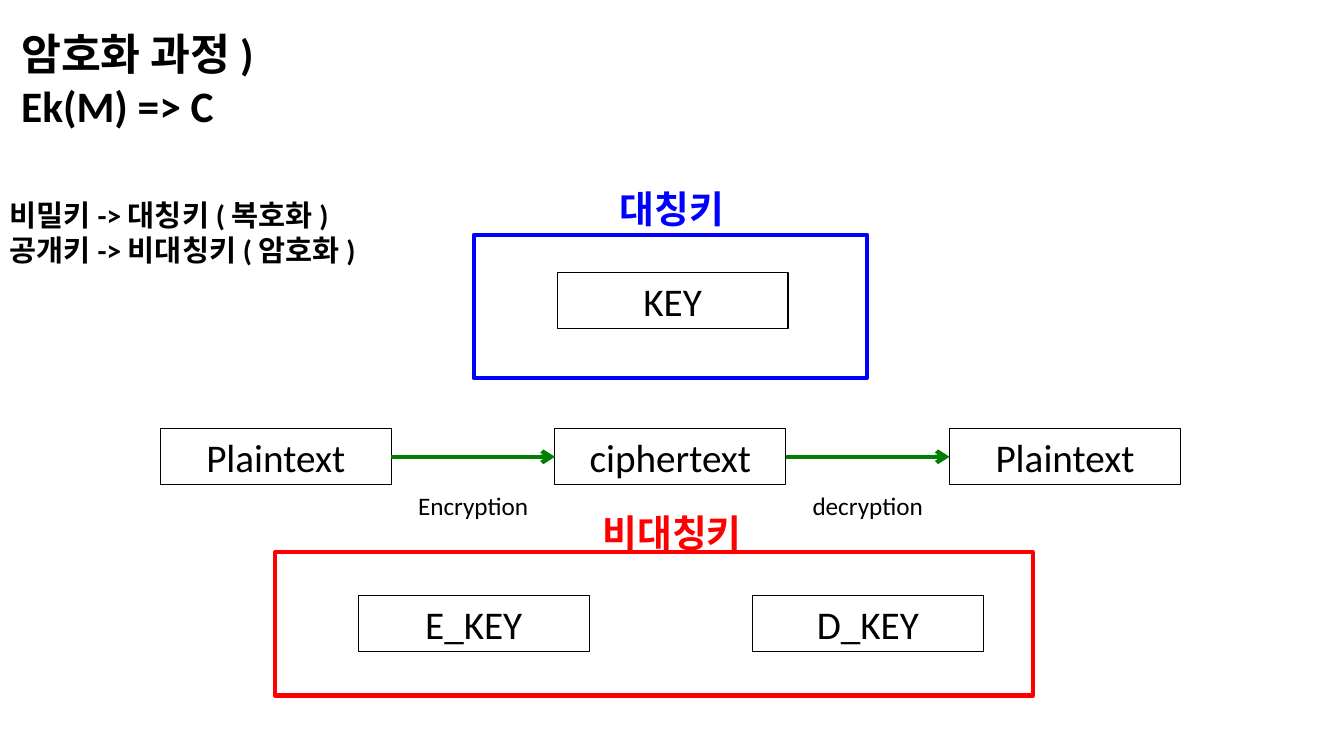
import pptx
import pptx.util
import pptx.dml.color
import pptx.enum.shapes
import pptx.enum.text
import pptx.oxml

Cm = pptx.util.Cm
ALIGN = pptx.enum.text.PP_ALIGN
ANCHOR = pptx.enum.text.MSO_ANCHOR
COLORS = {"black": "000000", "blue": "0000FF", "red": "FF0000", "green": "008000"}
SLIDE_W, SLIDE_H = 33.87, 19.05
BOX_W, BOX_H = 5.82, 1.42


def rgb(name):
    return pptx.dml.color.RGBColor.from_string(COLORS[name])


def write(tf, paragraphs, size=28, color="black", bold=False, align=ALIGN.CENTER, anchor=ANCHOR.TOP):
    tf.word_wrap = True
    tf.auto_size = pptx.enum.text.MSO_AUTO_SIZE.NONE
    tf.vertical_anchor = anchor
    for i, lines in enumerate(paragraphs):
        p = tf.paragraphs[0] if i == 0 else tf.add_paragraph()
        p.alignment = align
        for j, line in enumerate(lines.split("\n")):
            if j:
                p.add_line_break()
            r = p.add_run()
            r.text = line
            r.font.name = "Calibri"
            r.font.size = pptx.util.Pt(size)
            r.font.bold = bold
            r.font.color.rgb = rgb(color)


def add_text(s, box, paragraphs, **fmt):
    tb = s.shapes.add_textbox(*map(Cm, box))
    write(tb.text_frame, paragraphs, **fmt)


def add_rect(s, box, color="black", width=0.75):
    sp = s.shapes.add_shape(pptx.enum.shapes.MSO_SHAPE.RECTANGLE, *map(Cm, box))
    sp.shadow.inherit = False
    sp.fill.background()
    sp.line.color.rgb = rgb(color)
    sp.line.width = pptx.util.Pt(width)
    return sp


def add_box(s, x, y, text):
    sp = add_rect(s, (x, y, BOX_W, BOX_H))
    write(sp.text_frame, [text], anchor=ANCHOR.MIDDLE)
    return sp


def add_arrow(s, start, end):
    cx = s.shapes.add_connector(pptx.enum.shapes.MSO_CONNECTOR.STRAIGHT, 0, 0, 0, 0)
    cx.begin_connect(start, 3)
    cx.end_connect(end, 1)
    cx.line.color.rgb = rgb("green")
    cx.line.width = pptx.util.Pt(3)
    ns = pptx.oxml.ns.qn
    cx.line._get_or_add_ln().append(pptx.oxml.parse_xml(
        '<a:tailEnd xmlns:a="http://schemas.openxmlformats.org/drawingml/2006/main" type="arrow"/>'))
    cx._element.spPr.append(pptx.oxml.xmlchemy.OxmlElement("a:effectLst"))


def add_title(s, box):
    sp = s.shapes.title
    sp.left, sp.top, sp.width, sp.height = map(Cm, box)
    write(sp.text_frame, ["암호화 과정 )\nEk(M) => C"], size=31, bold=True, align=ALIGN.LEFT)


def add_key_types(s, box):
    add_text(s, box, ["비밀키 -> 대칭키 ( 복호화 )", "공개키 -> 비대칭키 ( 암호화 )"],
             size=21, bold=True, align=ALIGN.LEFT)


def add_flow(s, box):
    x, y, w, h = box
    step = (w - BOX_W) / 2
    names = ["Plaintext", "ciphertext", "Plaintext"]
    boxes = [add_box(s, x + i * step, y, name) for i, name in enumerate(names)]
    for i, label in enumerate(["Encryption", "decryption"]):
        add_arrow(s, boxes[i], boxes[i + 1])
        add_text(s, (x + BOX_W + i * step, y + BOX_H, step - BOX_W, h - BOX_H), [label], size=18)


def add_key_group(s, box, title, color, label_w, label_rise, key_dy, keys):
    x, y, w, h = box
    for i, key in enumerate(keys):
        add_box(s, x + 2.1 + i * 9.93, y + key_dy, key)
    add_rect(s, box, color, 3)
    add_text(s, ((SLIDE_W - label_w) / 2, y - label_rise, label_w, 1.38), [title],
             size=27, color=color, bold=True)


def main():
    prs = pptx.Presentation()
    prs.slide_width, prs.slide_height = Cm(SLIDE_W), Cm(SLIDE_H)
    s = prs.slides.add_slide(prs.slide_layouts[5])
    add_title(s, (0.28, 0.56, 8.66, 2.87))
    add_key_types(s, (0, 4.83, 13.74, 4.7))
    add_flow(s, (4.04, 10.8, 25.71, 2.44))
    add_key_group(s, (11.94, 5.92, 9.91, 3.61), "대칭키", "blue", 3.5, 1.37, 0.94, ["KEY"])
    add_key_group(s, (6.93, 13.92, 19.1, 3.61), "비대칭키", "red", 6.6, 1.19, 1.09,
                  ["E_KEY", "D_KEY"])
    prs.save("out.pptx")


if __name__ == "__main__":
    main()
